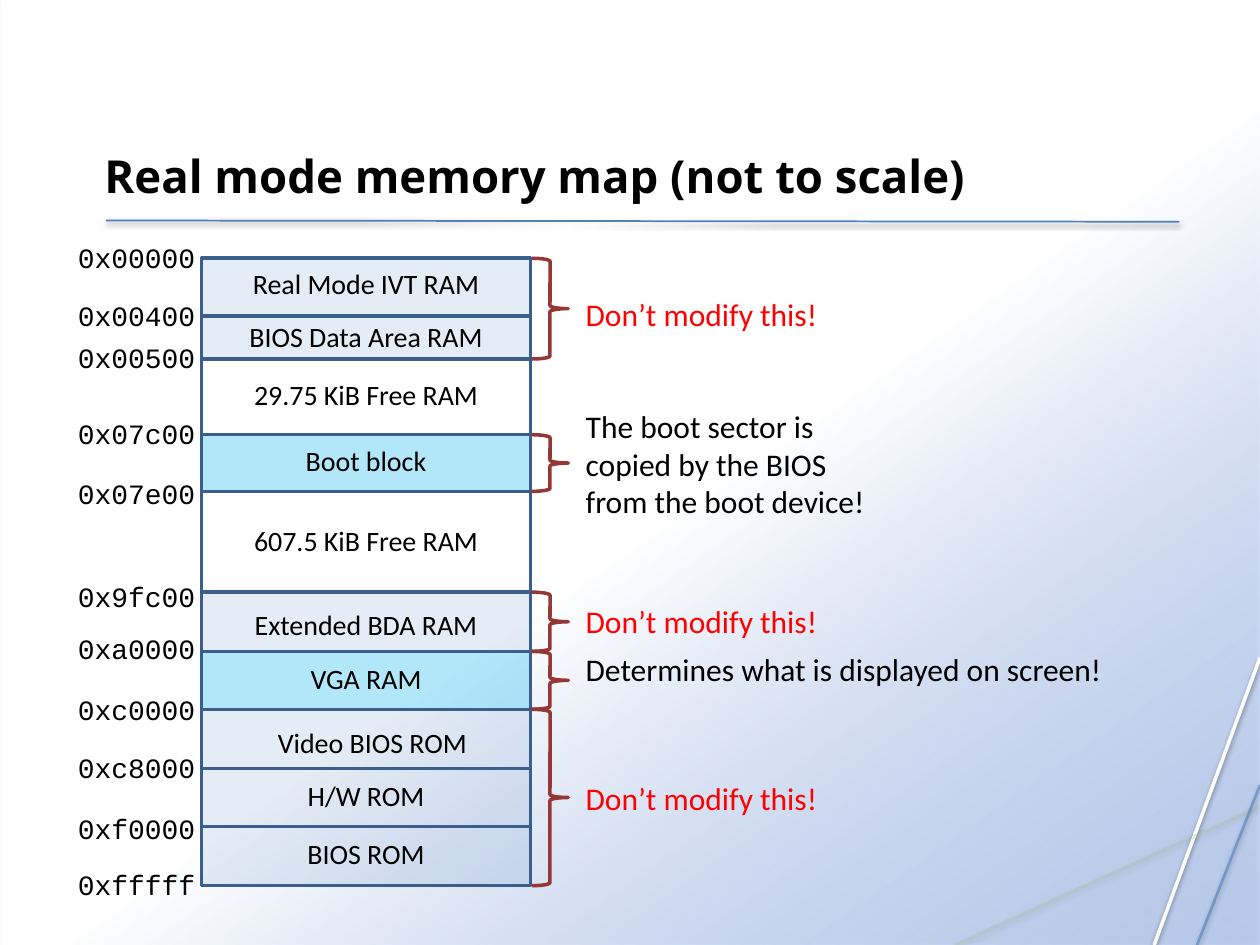
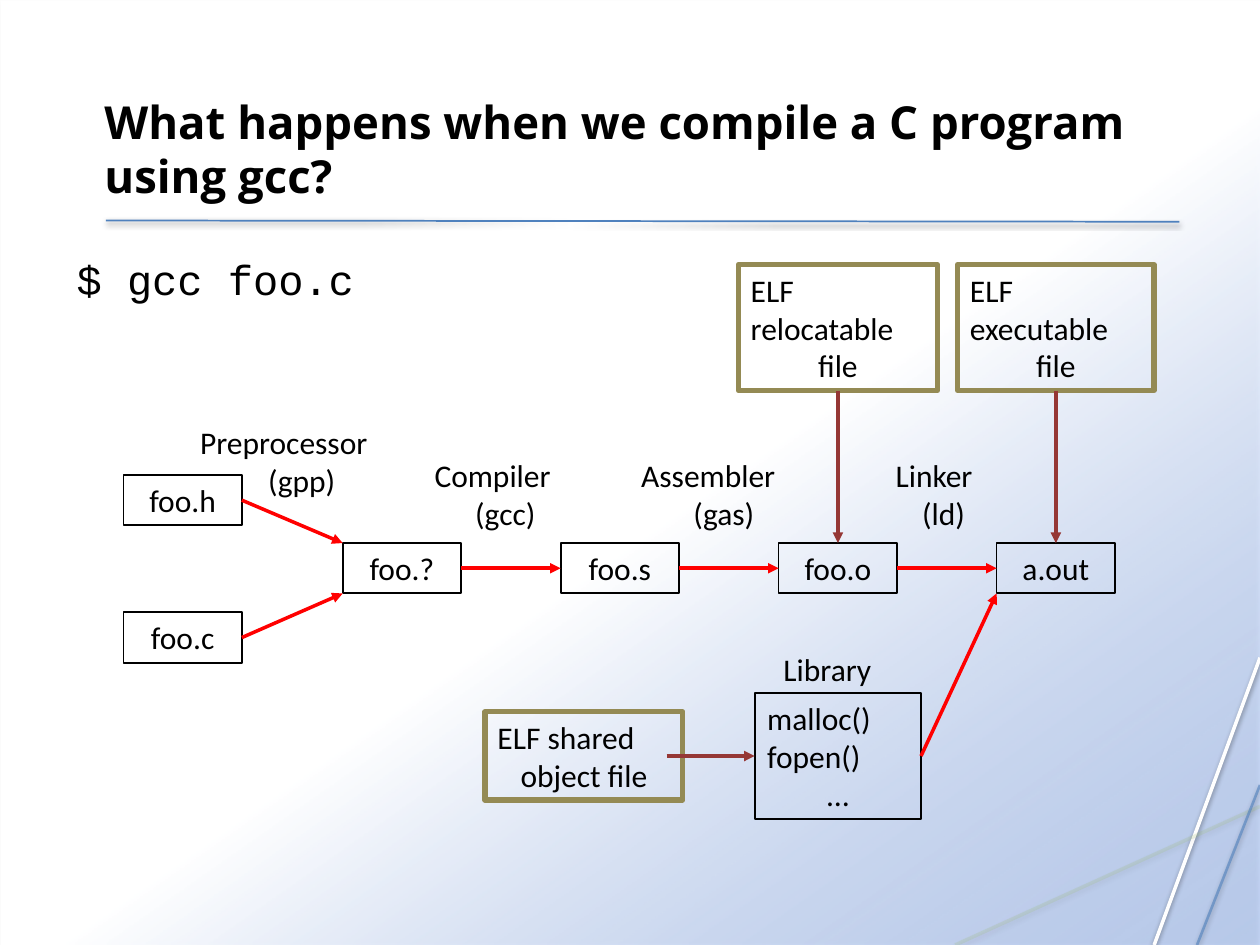
from lxml.etree import SubElement
from pptx import Presentation
from pptx.dml.color import RGBColor
from pptx.enum.shapes import MSO_CONNECTOR, MSO_SHAPE
from pptx.enum.text import MSO_ANCHOR, PP_ALIGN
from pptx.oxml.ns import qn
from pptx.util import Pt

RECT, BRACE = MSO_SHAPE.RECTANGLE, MSO_SHAPE.RIGHT_BRACE
STRAIGHT = MSO_CONNECTOR.STRAIGHT
LEFT, CENTER = PP_ALIGN.LEFT, PP_ALIGN.CENTER
TOP, BOTTOM = MSO_ANCHOR.TOP, MSO_ANCHOR.BOTTOM
NORTH, WEST, SOUTH, EAST = range(4)
PX = 9144  # 100 px to the inch


class Theme:
    black, white, red = "000000", "FFFFFF", "FF0000"
    blue, green, sky = "4F81BD", "9BBB59", "A4C4FF"
    navy, cyan, maroon, olive = "3A5F8C", "00B0F0", "953735", "948A54"
    head, body, code = "Open Sans", "Calibri", "Courier New"
    title, prompt, text, small = 26, 24, 18, 16


def box(slide, x, y, w, h, text="", size=Theme.text, font=Theme.body, color=Theme.black,
        align=LEFT, anchor=TOP, bold=False, kind=RECT, edge=None, width=1, fill=None, alpha=100):
    """Add a text box, or a shape if it has an edge; align sets the last line only."""
    place = [n * PX for n in (x, y, w, h)]
    if edge:
        shape = slide.shapes.add_shape(kind, *place)
        shape.shadow.inherit = False
        shape.line.color.rgb = RGBColor.from_string(edge)
        shape.line.width = Pt(width)
        if fill:
            shape.fill.solid()
            shape.fill.fore_color.rgb = RGBColor.from_string(fill)
            tint = shape.element.xpath("./p:spPr/a:solidFill/a:srgbClr")[0]
            SubElement(tint, qn("a:alpha"), val=str(alpha * 1000))
        else:
            shape.fill.background()
    else:
        shape = slide.shapes.add_textbox(*place)
    if text:
        frame = shape.text_frame
        frame.word_wrap = True
        frame.vertical_anchor = anchor
        frame.text = text
        for para in frame.paragraphs:
            para.alignment = LEFT
            para.font.name, para.font.size, para.font.bold = font, Pt(size), bold
            para.font.color.rgb = RGBColor.from_string(color)
        frame.paragraphs[-1].alignment = align
    return shape


def link(slide, start, end, color, width, alpha=100, arrow=False):
    """Draw a line; each end is a point (x, y) or a joint (shape, side)."""
    line = slide.shapes.add_connector(STRAIGHT, 0, 0, 0, 0)
    if isinstance(start[0], int):
        line.begin_x, line.begin_y = start[0] * PX, start[1] * PX
    else:
        line.begin_connect(*start)
    if isinstance(end[0], int):
        line.end_x, line.end_y = end[0] * PX, end[1] * PX
    else:
        line.end_connect(*end)
    line.line.color.rgb = RGBColor.from_string(color)
    line.line.width = Pt(width)
    if alpha < 100:
        tint = line.element.xpath("./p:spPr/a:ln/a:solidFill/a:srgbClr")[0]
        SubElement(tint, qn("a:alpha"), val=str(alpha * 1000))
    if arrow:
        SubElement(line.line._get_or_add_ln(), qn("a:tailEnd"), type="triangle")
        SubElement(line.element.spPr, qn("a:effectLst"))


prs = Presentation()
prs.slide_width, prs.slide_height = 1000 * PX, 750 * PX

# Shared backdrop, rules and title
slides = []
for title in ("Real mode memory map (not to scale)",
              "What happens when we compile a C program using gcc?"):
    slide = prs.slides.add_slide(prs.slide_layouts[6])
    back = slide.shapes.add_shape(RECT, 0, 0, prs.slide_width, prs.slide_height)
    back.line.fill.background()
    back.fill.gradient()
    back.fill.gradient_angle = 305
    stops = back.fill.gradient_stops
    for stop, tone, spot in zip(stops, (Theme.white, Theme.sky), (0.54, 1)):
        stop.color.rgb = RGBColor.from_string(tone)
        stop.position = spot
    tint = back.element.xpath("./p:spPr/a:gradFill//a:srgbClr")[-1]
    SubElement(tint, qn("a:alpha"), val="54000")
    link(slide, (1000, 522), (916, 750), Theme.white, 2)
    link(slide, (1000, 640), (758, 750), Theme.green, 2, 16)
    link(slide, (1000, 623), (950, 750), Theme.blue, 1.5, 60)
    link(slide, (84, 175), (936, 176), Theme.blue, 1)
    box(slide, 73, 33, 862, 133, title, Theme.title, Theme.head, anchor=BOTTOM, bold=True)
    slides.append(slide)
memory, build = slides

# Memory map: start address, its top, region top, name, name's left and top, fill
kept, used, free = (Theme.blue, 15), (Theme.cyan, 30), None
areas = [
    ("0x00000", 186, 205, "Real Mode IVT RAM", 160, 207, kept),
    ("0x00400", 232, 251, "BIOS Data Area RAM", 160, 249, kept),
    ("0x00500", 265, 285, "29.75 KiB Free RAM", 160, 295, free),
    ("0x07c00", 326, 345, "Boot block", 160, 347, used),
    ("0x07e00", 373, 390, "607.5 KiB Free RAM", 160, 411, free),
    ("0x9fc00", 455, 470, "Extended BDA RAM", 160, 477, kept),
    ("0xa0000", 496, 517, "VGA RAM", 160, 520, used),
    ("0xc0000", 545, 563, "Video BIOS ROM", 165, 571, kept),
    ("0xc8000", 591, 610, "H/W ROM", 160, 613, kept),
    ("0xf0000", 639, 656, "BIOS ROM", 160, 659, kept),
]
tops = [area[2] for area in areas] + [703]
box(memory, 160, tops[0], 261, tops[-1] - tops[0], edge=Theme.navy, width=2)
for (start, mark, top, name, x, y, paint), end in zip(areas, tops[1:]):
    if paint:
        box(memory, 160, top, 261, end - top, edge=Theme.navy, width=2,
            fill=paint[0], alpha=paint[1])
    box(memory, x, y, 261, 40, name, Theme.small, align=CENTER)
    box(memory, 52, mark, 120, 36, start, Theme.small, Theme.code)
box(memory, 52, 684, 120, 36, "0xfffff", Theme.small, Theme.code)

# Braces: first region, region after the last, note, its top, width and height
warn = "Don’t modify this!"
notes = [
    (0, 2, warn, 229, 350, 36),
    (3, 4, "The boot sector is copied by the BIOS from the boot device!", 318, 251, 130),
    (5, 6, warn, 473, 374, 45),
    (6, 7, "Determines what is displayed on screen!", 511, 463, 70),
    (7, 10, warn, 613, 373, 41),
]
for first, last, note, y, w, h in notes:
    box(memory, 422, tops[first], 29, tops[last] - tops[first],
        kind=BRACE, edge=Theme.maroon, width=2)
    box(memory, 455, y, w, h, note, color=Theme.red if note == warn else Theme.black)

# Build steps
box(build, 51, 196, 900, 53, "$ gcc foo.c", Theme.prompt, Theme.code)
sources = [box(build, 98, y, 94, 40, name, align=CENTER, edge=Theme.black)
           for name, y in (("foo.h", 377), ("foo.c", 486))]
steps = [box(build, 272 + 173 * i, 431, 94, 40, name, align=CENTER, edge=Theme.black)
         for i, name in enumerate(("foo.?", "foo.s", "foo.o", "a.out"))]
for tool, x, y, w in (("Preprocessor\n(gpp)", 149, 331, 181), ("Compiler\n(gcc)", 335, 357, 132),
                      ("Assembler\n(gas)", 499, 357, 151), ("Linker\n(ld)", 701, 357, 96)):
    box(build, x, y, w, 70, tool, align=CENTER)
box(build, 612, 511, 107, 40, "Library")
lib = box(build, 599, 550, 132, 100, "malloc()\nfopen()\n…", align=CENTER, edge=Theme.black)

# ELF file kinds
kinds = [box(build, x, y, w, h, text, align=CENTER, edge=Theme.olive, width=3)
         for text, x, y, w, h in (("ELF\nrelocatable\nfile", 586, 210, 158, 100),
                                  ("ELF\nexecutable\nfile", 760, 210, 156, 100),
                                  ("ELF shared\nobject file", 385, 565, 157, 70))]

# Arrows
flows = [((a, EAST), (b, WEST)) for a, b in zip(steps, steps[1:])]
flows += [((sources[0], EAST), (272, 431)), ((sources[1], EAST), (272, 471)),
          ((lib, EAST), (791, 471))]
hints = [((kind, SOUTH), (step, NORTH)) for kind, step in zip(kinds, steps[2:])]
hints.append(((529, 600), (lib, WEST)))
for pairs, color in ((flows, Theme.red), (hints, Theme.maroon)):
    for start, end in pairs:
        link(build, start, end, color, 2, arrow=True)

prs.save("out.pptx")
